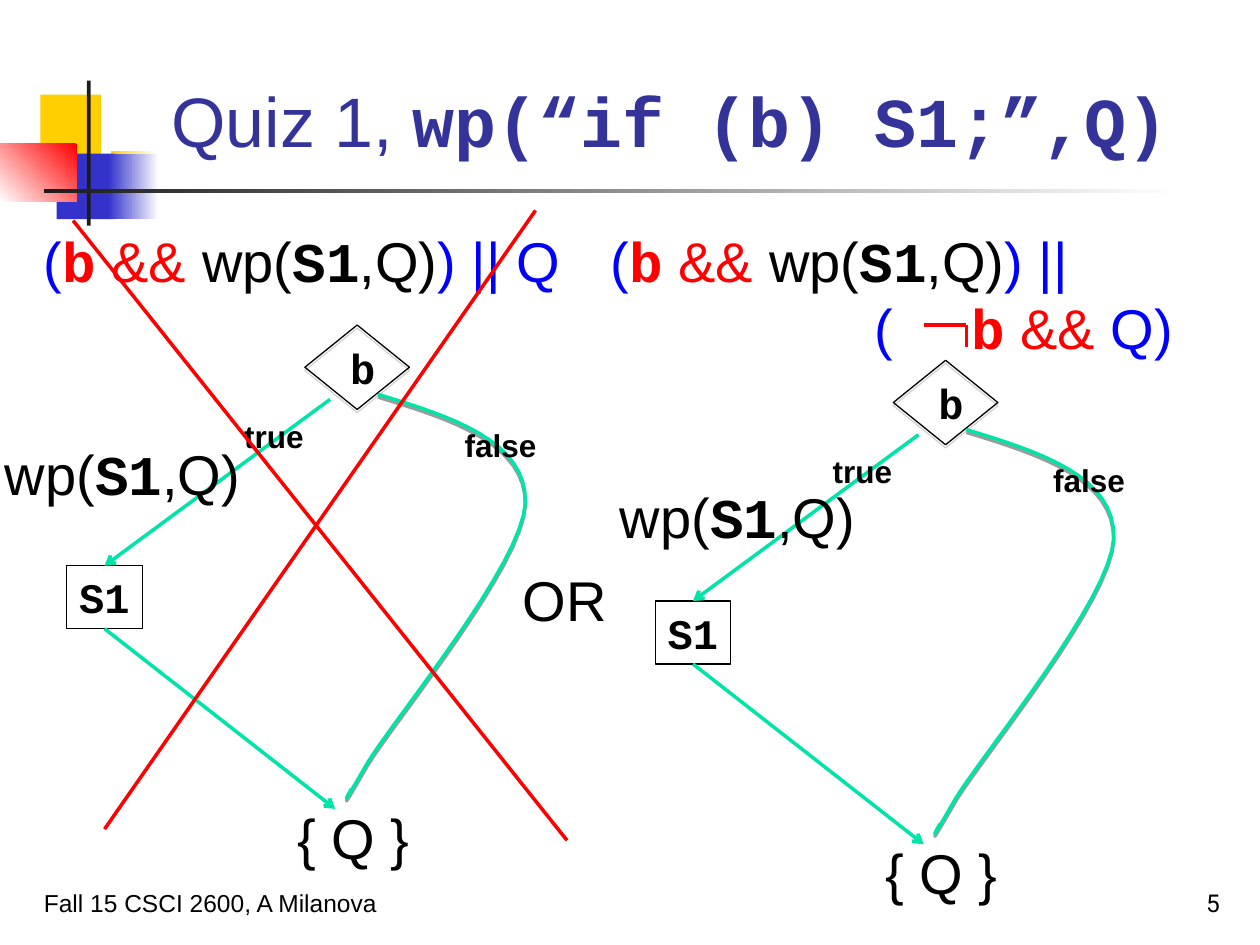
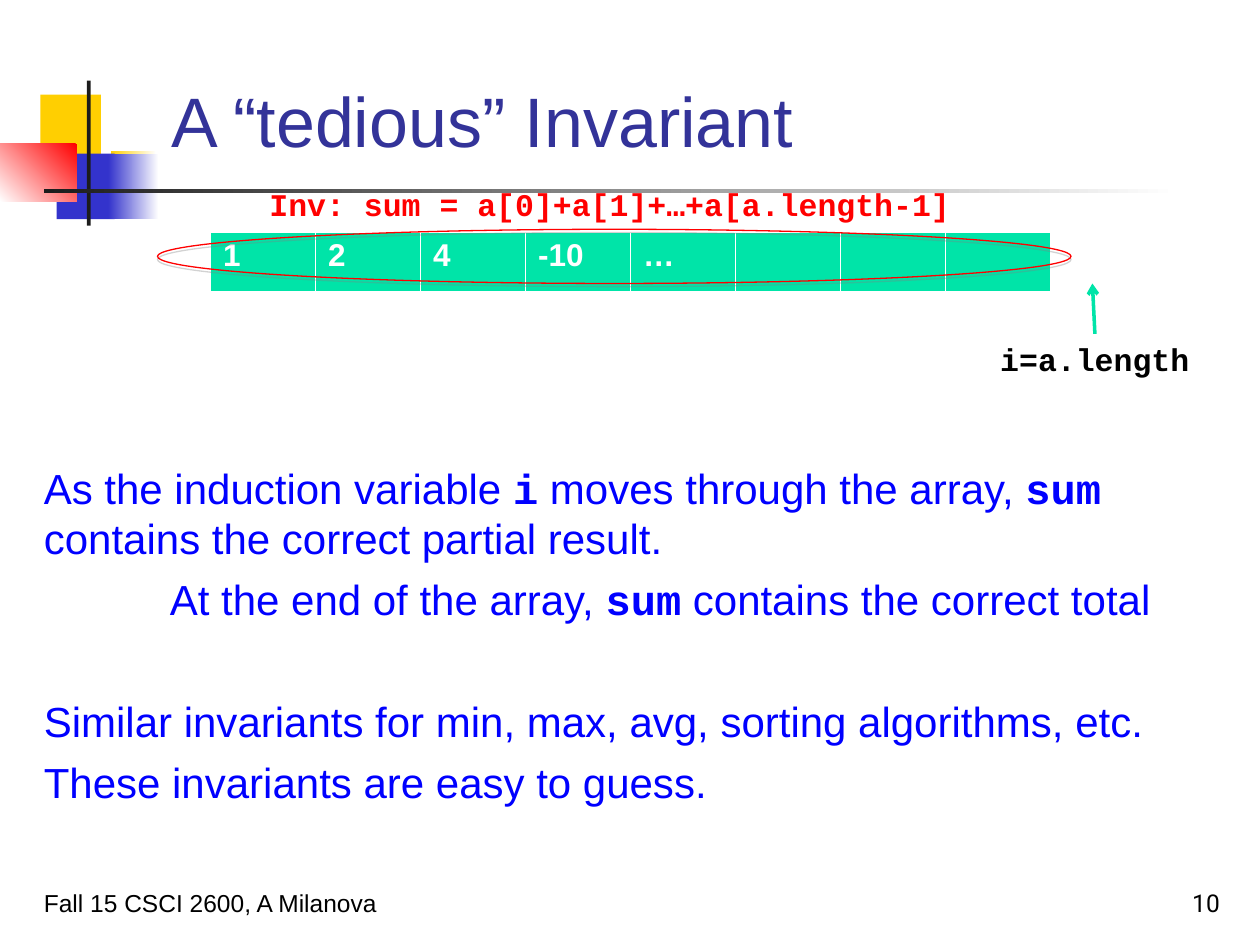
from dataclasses import dataclass
from typing import Any, NamedTuple

import lxml.etree
import pptx
import pptx.dml.color
import pptx.enum.shapes
import pptx.enum.text
import pptx.oxml.ns
import pptx.util

Inches = pptx.util.Inches
Pt = pptx.util.Pt
qn = pptx.oxml.ns.qn
SHAPES = pptx.enum.shapes.MSO_SHAPE
ANCHOR = pptx.enum.text.MSO_ANCHOR
ALIGN = pptx.enum.text.PP_ALIGN
AUTO_SIZE = pptx.enum.text.MSO_AUTO_SIZE


@dataclass(frozen=True)
class Theme:
    sans: str = "Arial"
    mono: str = "Courier New"
    number_font: str = "Roboto"
    title: str = "333399"
    text: str = "000000"
    blue: str = "0000FF"
    red: str = "FF0000"
    green: str = "00E4A8"
    white: str = "FFFFFF"
    yellow: str = "FFCF01"
    indigo: str = "3333CC"
    charcoal: str = "1C1C1C"
    title_size: int = 40
    formula_size: int = 32
    body_size: int = 24
    label_size: int = 18
    footer_size: int = 14
    thin: float = 0.75
    thick: float = 2


THEME = Theme()


class Box(NamedTuple):
    left: float
    top: float
    width: float
    height: float

    def moved(self, right: float, down: float) -> "Box":
        return Box(self.left + right, self.top + down, self.width, self.height)

    def lengths(self) -> list[int]:
        return [Inches(value) for value in self]


class Point(NamedTuple):
    x: float
    y: float

    def moved(self, right: float, down: float) -> "Point":
        return Point(self.x + right, self.y + down)


class Span(NamedTuple):
    text: str
    size: int
    color: str = THEME.text
    font: str = THEME.sans
    bold: bool = False


class Para(NamedTuple):
    spans: list[Span]
    before: float = 0
    tabs: tuple[float, ...] = ()
    align: Any = ALIGN.LEFT


class Band(NamedTuple):
    box: Box
    color: str
    end_color: str | None = None
    angle: int = 180


class Shadow(NamedTuple):
    color: str
    alpha: int
    distance: float


class Branch(NamedTuple):
    """One if-branch diagram: its shift from the first one and its wp label."""
    right: float
    down: float
    wp_box: Box


BANDS = [
    Band(Box(0.32, 0.75, 0.48, 0.52), THEME.yellow),
    Band(Box(0.88, 1.2, 0.36, 0.52), THEME.white, THEME.yellow),
    Band(Box(0.45, 1.22, 0.46, 0.52), THEME.indigo),
    Band(Box(0.86, 1.22, 0.4, 0.52), THEME.white, THEME.indigo),
    Band(Box(0, 1.14, 0.61, 0.46), THEME.red, THEME.white, 225),
    Band(Box(0.69, 0.64, 0.03, 1.15), THEME.charcoal),
    Band(Box(0.35, 1.5, 9, 0.03), THEME.white, THEME.charcoal),
]
TITLE_BOX = Box(1.26, 0.23, 8.52, 1.1)
FOOTER_BOX = Box(0.25, 6.83, 5.17, 0.5)
NUMBER_BOX = Box(7.7, 6.83, 2.08, 0.5)
OUTLINE_SHADOW = Shadow("808080", 35, 1.8)
CURVE_SHADOW = Shadow("000000", 38, 1.6)
BRANCHES = [Branch(0, 0, Box(-0.06, 3.44, 2.07, 0.64)),
            Branch(4.67, 0.28, Box(4.82, 3.78, 2.07, 0.64))]
FALSE_START = Point(3, 3.13)
FALSE_CURVES = [
    (Point(3.59, 3.31), Point(4.18, 3.5), Point(4.17, 3.99)),
    (Point(4.15, 4.47), Point(3.15, 5.68), Point(2.92, 6.05)),
    (Point(2.7, 6.43), Point(2.74, 6.35), Point(2.79, 6.26)),
]
CURVE_STEPS = 16


def rgb(color: str) -> pptx.dml.color.RGBColor:
    return pptx.dml.color.RGBColor.from_string(color)


def code(text: str, size: int, color: str = THEME.text) -> Span:
    return Span(text, size, color, THEME.mono, True)


def formula(text: str, color: str = THEME.text) -> Span:
    return Span(text, THEME.formula_size, color)


def formula_code(text: str, color: str = THEME.text) -> Span:
    return code(text, THEME.formula_size, color)


def set_all(target: Any, values: dict[str, Any]) -> None:
    for name, value in values.items():
        setattr(target, name, value)


def write_text(frame: Any, paras: list[Para], wrap: bool = True, anchor: Any = ANCHOR.TOP) -> None:
    set_all(frame, {"auto_size": AUTO_SIZE.NONE if wrap else AUTO_SIZE.SHAPE_TO_FIT_TEXT,
                    "word_wrap": wrap, "vertical_anchor": anchor})
    for index, item in enumerate(paras):
        para = frame.add_paragraph() if index else frame.paragraphs[0]
        if item.tabs:
            tab_list = lxml.etree.SubElement(para._p.get_or_add_pPr(), qn("a:tabLst"))
            for stop in item.tabs:
                lxml.etree.SubElement(tab_list, qn("a:tab"), pos=str(Inches(stop)), algn="l")
        set_all(para, {"alignment": item.align, "space_before": Pt(item.before)})
        for span in item.spans:
            run = para.add_run()
            run.text = span.text
            set_all(run.font, {"name": span.font, "size": Pt(span.size), "bold": span.bold})
            run.font.color.rgb = rgb(span.color)


def add_text(page: Any, box: Box, paras: list[Para], wrap: bool = True, anchor: Any = ANCHOR.TOP) -> None:
    write_text(page.shapes.add_textbox(*box.lengths()).text_frame, paras, wrap, anchor)


def add_label(page: Any, box: Box, *spans: Span) -> None:
    add_text(page, box, [Para(list(spans))], wrap=False)


def set_shadow(shape: Any, shadow: Shadow | None) -> None:
    properties = shape._element.spPr
    for old in properties.findall(qn("a:effectLst")):
        properties.remove(old)
    effects = lxml.etree.SubElement(properties, qn("a:effectLst"))
    if shadow:
        outer = lxml.etree.SubElement(effects, qn("a:outerShdw"), blurRad="0",
                                      dist=str(Pt(shadow.distance)), dir="5400000", rotWithShape="0")
        color = lxml.etree.SubElement(outer, qn("a:srgbClr"), val=shadow.color)
        lxml.etree.SubElement(color, qn("a:alpha"), val=str(shadow.alpha * 1000))


def set_line(shape: Any, color: str, width: float) -> None:
    shape.line.color.rgb = rgb(color)
    shape.line.width = Pt(width)


def add_outline(page: Any, kind: Any, box: Box, color: str, shadow: Shadow | None = None) -> Any:
    shape = page.shapes.add_shape(kind, *box.lengths())
    shape.fill.background()
    set_line(shape, color, THEME.thin)
    set_shadow(shape, shadow)
    return shape


def add_line(page: Any, start: Point, end: Point, color: str, arrow: bool = False) -> Any:
    ends = [Inches(value) for value in (*start, *end)]
    line = page.shapes.add_connector(pptx.enum.shapes.MSO_CONNECTOR.STRAIGHT, *ends)
    set_line(line, color, THEME.thick)
    if arrow:
        lxml.etree.SubElement(line.line._get_or_add_ln(), qn("a:tailEnd"), type="arrow")
    set_shadow(line, None)
    return line


def add_band(page: Any, band: Band) -> None:
    shape = page.shapes.add_shape(SHAPES.RECTANGLE, *band.box.lengths())
    shape.shadow.inherit = False
    shape.line.fill.background()
    if band.end_color is None:
        shape.fill.solid()
        shape.fill.fore_color.rgb = rgb(band.color)
        return
    shape.fill.gradient()
    shape.fill.gradient_angle = band.angle
    for stop, color in zip(shape.fill.gradient_stops, (band.color, band.end_color)):
        stop.color.rgb = rgb(color)


def add_page(deck: Any, title: list[Span], number: int) -> Any:
    """Add a title-only slide with the shared bands, title style and footer."""
    page = deck.slides.add_slide(deck.slide_layouts[5])
    for band in BANDS:
        add_band(page, band)
    names = ("left", "top", "width", "height")
    set_all(page.shapes.title, dict(zip(names, TITLE_BOX.lengths())))
    write_text(page.shapes.title.text_frame, [Para(title)], anchor=ANCHOR.BOTTOM)
    footer = Span("Fall 15 CSCI 2600, A Milanova", THEME.footer_size)
    page_number = Span(str(number), THEME.footer_size, font=THEME.number_font)
    add_text(page, FOOTER_BOX, [Para([footer])], anchor=ANCHOR.BOTTOM)
    add_text(page, NUMBER_BOX, [Para([page_number], align=ALIGN.RIGHT)], anchor=ANCHOR.BOTTOM)
    return page


def add_false_curve(page: Any, shift: tuple[float, float]) -> None:
    start = FALSE_START
    points = []
    for first, second, end in FALSE_CURVES:
        for step in range(1, CURVE_STEPS + 1):
            t = step / CURVE_STEPS
            weights = ((1 - t) ** 3, 3 * t * (1 - t) ** 2, 3 * t * t * (1 - t), t ** 3)
            corners = (start, first, second, end)
            points.append(Point(sum(w * p.x for w, p in zip(weights, corners)),
                                sum(w * p.y for w, p in zip(weights, corners))))
        start = end
    origin, *path_points = [[Inches(value) for value in point.moved(*shift)]
                            for point in (FALSE_START, *points)]
    builder = page.shapes.build_freeform(*origin)
    builder.add_line_segments(path_points, close=False)
    curve = builder.convert_to_shape()
    curve.fill.background()
    set_line(curve, THEME.green, THEME.thick)
    set_shadow(curve, CURVE_SHADOW)


def add_branch(page: Any, branch: Branch) -> None:
    shift = (branch.right, branch.down)
    add_label(page, Box(2.68, 2.67, 0.4, 0.5).moved(*shift), code("b", THEME.body_size))
    add_outline(page, SHAPES.DIAMOND, Box(2.42, 2.58, 0.83, 0.67).moved(*shift),
                THEME.text, OUTLINE_SHADOW)
    statement = add_outline(page, SHAPES.RECTANGLE, Box(0.53, 4.49, 0.6, 0.5).moved(*shift), THEME.text)
    write_text(statement.text_frame, [Para([code("S1", THEME.body_size)])], wrap=False)
    top, bottom = Point(0.83, 4.49).moved(*shift), Point(0.83, 4.99).moved(*shift)
    into = add_line(page, Point(2.62, 3.17).moved(*shift), top, THEME.green, True)
    into.end_connect(statement, 0)
    out = add_line(page, bottom, Point(2.66, 6.42).moved(*shift), THEME.green, True)
    out.begin_connect(statement, 2)
    add_label(page, branch.wp_box, formula("wp("), formula_code("S1"), formula(",Q)"))
    add_false_curve(page, shift)
    for text, box in (("true", Box(1.84, 3.26, 0.67, 0.4)), ("false", Box(3.59, 3.33, 0.77, 0.4))):
        add_label(page, box.moved(*shift), Span(text, THEME.label_size, bold=True))
    add_label(page, Box(2.26, 6.33, 1.09, 0.64).moved(*shift), formula("{ Q }"))


def build_quiz(deck: Any) -> None:
    page = add_page(deck, [Span("Quiz 1, ", THEME.title_size, THEME.title),
                           code("wp(“if (b) S1;”,Q)", THEME.title_size, THEME.title)], 5)
    for branch in BRANCHES:
        add_branch(page, branch)
    condition = [formula_code("b", THEME.red), formula(" && ", THEME.red)]
    taken = [formula("(", THEME.blue), *condition, formula("wp("), formula_code("S1"), formula(",Q)")]
    skipped = [formula("\t(\t", THEME.blue), *condition, formula("Q)", THEME.blue)]
    add_text(page, Box(0.25, 1.75, 4.5, 1.17), [Para([*taken, formula(") || Q", THEME.blue)])])
    add_text(page, Box(4.75, 1.75, 5.04, 1.17), [Para([*taken, formula(") ||", THEME.blue)]),
                                                 Para(skipped, tabs=(2.09, 2.86))])
    add_label(page, Box(4.05, 4.44, 0.9, 0.64), formula("OR"))
    negation = [(Point(7.33, 2.58), Point(7.67, 2.58)), (Point(7.67, 2.58), Point(7.67, 2.75))]
    cross = [(Point(4.25, 1.67), Point(0.83, 6.58)), (Point(0.58, 1.75), Point(4.5, 6.67))]
    for start, end in negation + cross:
        add_line(page, start, end, THEME.red)


def add_array(page: Any, box: Box, values: list[str]) -> None:
    table = page.shapes.add_table(1, len(values), *box.lengths()).table
    set_all(table, {"first_row": False, "horz_banding": False})
    for cell, value in zip(table.rows[0].cells, values):
        if value:
            write_text(cell.text_frame, [Para([Span(value, THEME.label_size, THEME.white, bold=True)])])
        properties = cell._tc.get_or_add_tcPr()
        for side, width in (("L", 0.45), ("R", 0.45), ("T", 0.45), ("B", 1.47)):
            edge = lxml.etree.SubElement(properties, qn(f"a:ln{side}"), w=str(Pt(width)))
            paint = lxml.etree.SubElement(edge, qn("a:solidFill"))
            lxml.etree.SubElement(paint, qn("a:srgbClr"), val=THEME.white)
        cell.fill.solid()
        cell.fill.fore_color.rgb = rgb(THEME.green)


def build_invariant(deck: Any) -> None:
    page = add_page(deck, [Span("A “tedious” Invariant", THEME.title_size, THEME.title)], 10)
    size, blue = THEME.body_size, THEME.blue
    total = code("sum", size, blue)
    add_text(page, Box(0.25, 3.62, 9.67, 3.2), [
        Para([Span("As the induction variable ", size, blue), code("i", size, blue),
              Span(" moves through the array, ", size, blue), total,
              Span(" contains the correct partial result.", size, blue)]),
        Para([Span("\tAt the end of the array, ", size, blue), total,
              Span(" contains the correct total", size, blue)], before=6, tabs=(1,)),
        Para([Span("Similar invariants for min, max, avg, sorting algorithms, etc.", size, blue)], before=41),
        Para([Span("These invariants are easy to guess.", size, blue)], before=6)])
    add_array(page, Box(1.67, 1.84, 6.67, 0.48), ["1", "2", "4", "-10", "…", "", "", ""])
    add_label(page, Box(7.84, 2.65, 1.7, 0.4), code("i=a.length", THEME.label_size))
    add_line(page, Point(8.69, 2.65), Point(8.67, 2.25), THEME.green, True)
    add_label(page, Box(2.04, 1.42, 5.6, 0.4),
              code("Inv: sum = a[0]+a[1]+…+a[a.length-1]", THEME.label_size, THEME.red))
    add_outline(page, SHAPES.OVAL, Box(1.25, 1.82, 7.25, 0.43), THEME.red, OUTLINE_SHADOW)


def main() -> None:
    deck = pptx.Presentation()
    set_all(deck, {"slide_width": Inches(10), "slide_height": Inches(7.5)})
    build_quiz(deck)
    build_invariant(deck)
    deck.save("out.pptx")


if __name__ == "__main__":
    main()
